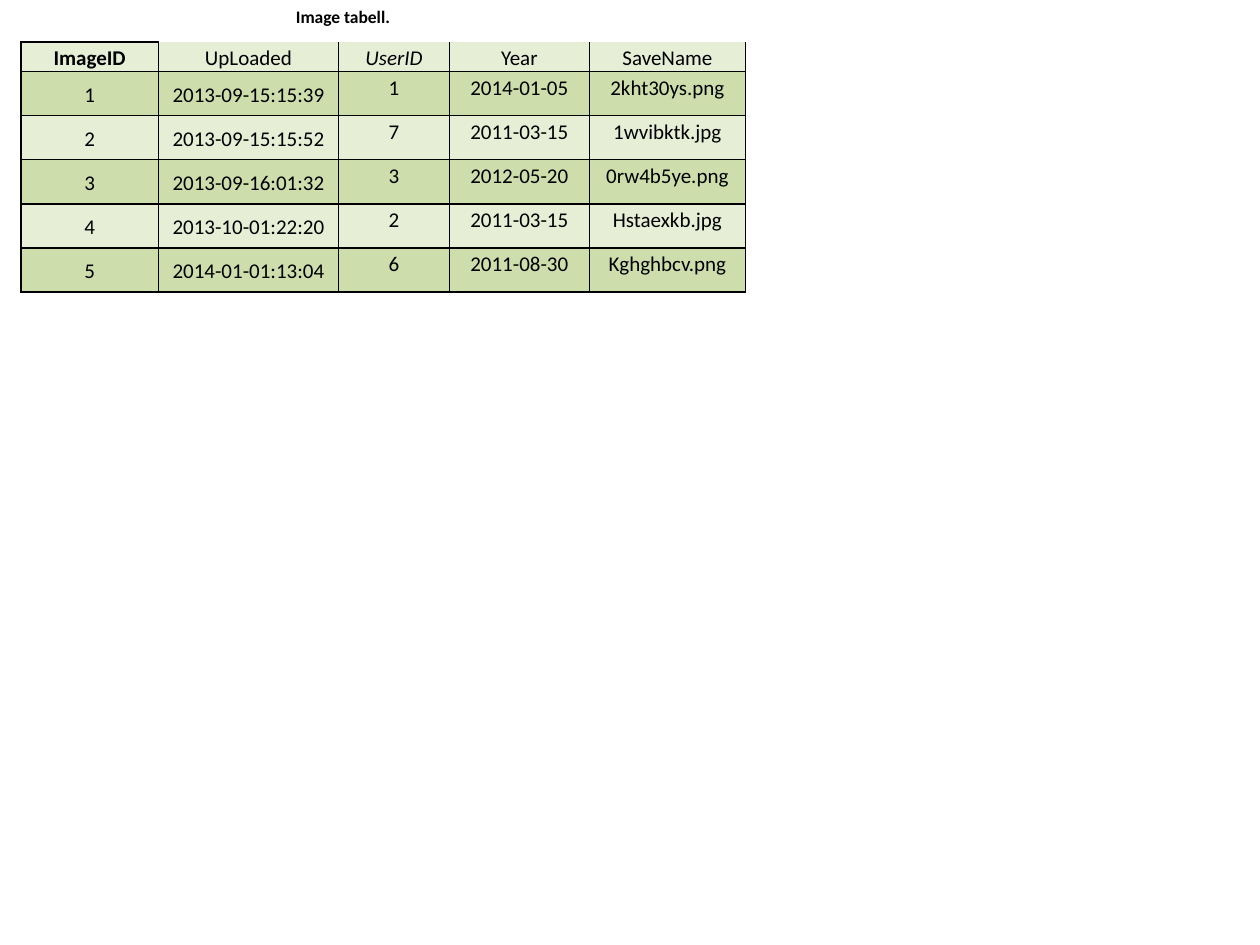
from lxml.etree import SubElement
from pptx import Presentation
from pptx.dml.color import RGBColor
from pptx.enum.text import MSO_ANCHOR, PP_ALIGN
from pptx.oxml.ns import qn
from pptx.util import Pt

INK = {"text": "000000", "line": "000000", "light": "E6EED5", "dark": "CDDDAC"}
WIDTHS = [78.5, 103, 63.4, 79.9, 89.3]
HEIGHTS = [12.2] + [25.2] * 5
ROWS = [
    ["ImageID", "UpLoaded", "UserID", "Year", "SaveName"],
    ["1", "2013-09-15:15:39", "1", "2014-01-05", "2kht30ys.png"],
    ["2", "2013-09-15:15:52", "7", "2011-03-15", "1wvibktk.jpg"],
    ["3", "2013-09-16:01:32", "3", "2012-05-20", "0rw4b5ye.png"],
    ["4", "2013-10-01:22:20", "2", "2011-03-15", "Hstaexkb.jpg"],
    ["5", "2014-01-01:13:04", "6", "2011-08-30", "Kghghbcv.png"],
]


def write(frame, text, size=12, bold=False, italic=False,
          align=PP_ALIGN.LEFT, space=1.0):
    para = frame.paragraphs[0]
    para.alignment = align
    para.line_spacing = space
    run = para.add_run()
    run.text = text
    font = run.font
    font.name, font.size = "Calibri", Pt(size)
    font.bold, font.italic = bold, italic
    font.color.rgb = RGBColor.from_string(INK["text"])


def border(cell, sides):
    """Rule the named sides (of L, R, T, B) and clear the others."""
    props = cell._tc.get_or_add_tcPr()
    for side in "LRTB":
        line = SubElement(props, qn(f"a:ln{side}"), w=str(Pt(1)))
        if side in sides:
            fill = SubElement(line, qn("a:solidFill"))
            SubElement(fill, qn("a:srgbClr"), val=INK["line"])
        else:
            SubElement(line, qn("a:noFill"))


def add_title(slide, left, top, width, height):
    frame = slide.shapes.add_textbox(
        Pt(left), Pt(top), Pt(width), Pt(height)).text_frame
    frame.word_wrap = True
    write(frame, "Image tabell.", size=10, bold=True)


def add_grid(slide, left, top):
    table = slide.shapes.add_table(
        len(ROWS), len(WIDTHS), Pt(left), Pt(top),
        Pt(sum(WIDTHS)), Pt(sum(HEIGHTS))).table
    table.first_row = table.horz_banding = False
    for col, width in zip(table.columns, WIDTHS):
        col.width = Pt(width)
    for row, height in zip(table.rows, HEIGHTS):
        row.height = Pt(height)

    for r, row in enumerate(ROWS):
        for c, text in enumerate(row):
            cell = table.cell(r, c)
            head = r == 0
            # Only the key column has a rule above its heading
            border(cell, "LRB" if head and c else "LRTB")
            cell.fill.solid()
            cell.fill.fore_color.rgb = RGBColor.from_string(
                INK["dark" if r % 2 else "light"])
            cell.margin_left = cell.margin_right = Pt(5)
            cell.margin_top = cell.margin_bottom = Pt(0)
            cell.vertical_anchor = MSO_ANCHOR.MIDDLE if c < 2 else MSO_ANCHOR.TOP
            write(cell.text_frame, text, bold=head and c == 0,
                  italic=head and c == 2, align=PP_ALIGN.CENTER, space=1.15)


def main():
    deck = Presentation()
    deck.slide_width, deck.slide_height = Pt(720), Pt(540)
    slide = deck.slides.add_slide(deck.slide_layouts[6])
    add_grid(slide, 12, 24)
    add_title(slide, 162, 0, 156, 19.4)
    deck.save("out.pptx")


if __name__ == "__main__":
    main()
